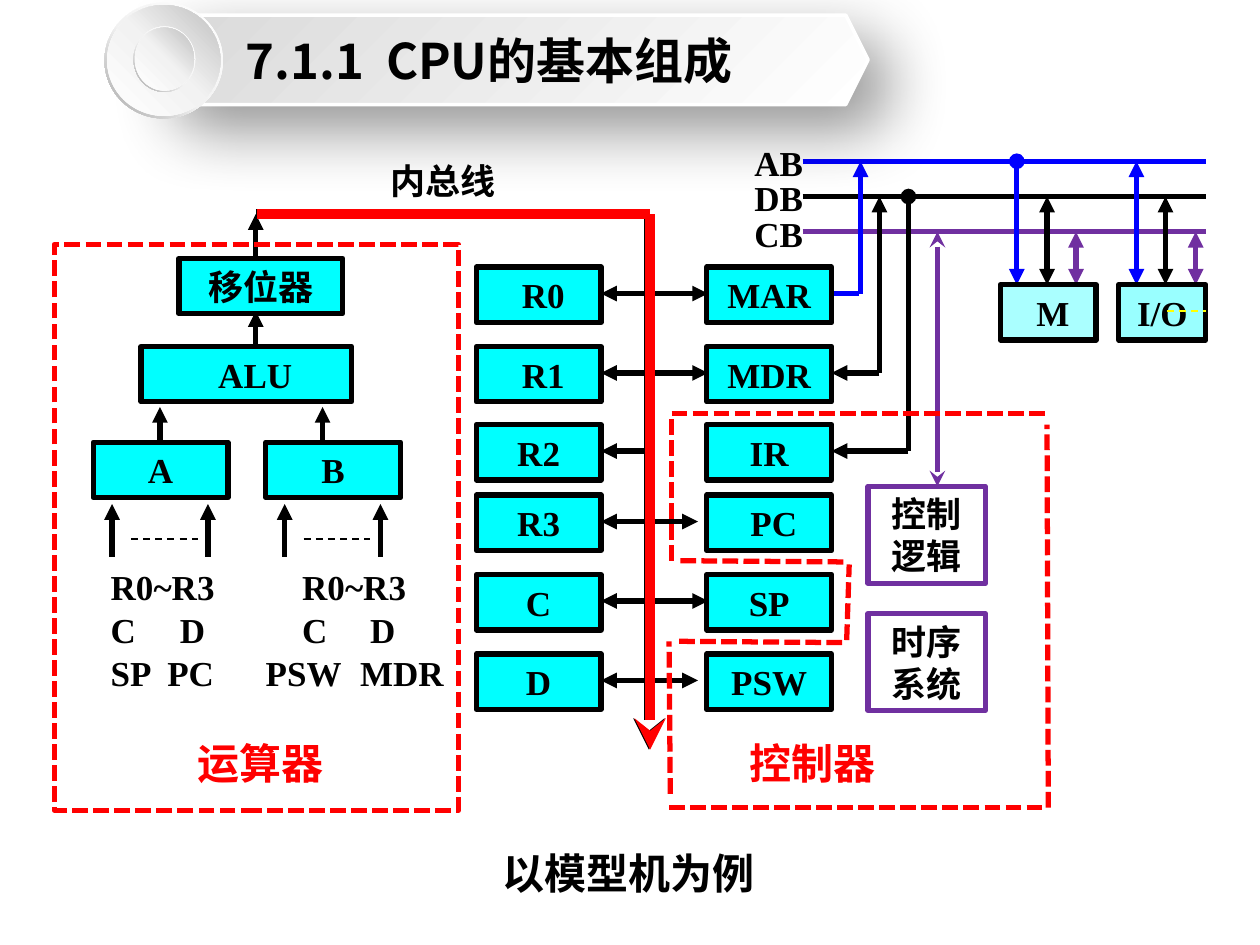
from lxml import etree
from pptx import Presentation
from pptx.dml.color import RGBColor
from pptx.enum.dml import MSO_LINE
from pptx.enum.shapes import MSO_CONNECTOR, MSO_SHAPE
from pptx.enum.text import MSO_ANCHOR, PP_ALIGN
from pptx.oxml.ns import qn
from pptx.util import Inches, Pt

RECT, HEXAGON = MSO_SHAPE.RECTANGLE, MSO_SHAPE.HEXAGON
DONUT, OVAL = MSO_SHAPE.DONUT, MSO_SHAPE.OVAL
DASH, SYS_DASH = MSO_LINE.DASH, MSO_LINE.SQUARE_DOT
CENTER, LEFT = PP_ALIGN.CENTER, PP_ALIGN.LEFT
SERIF, SANS = "Times New Roman", "Noto Sans CJK SC"
BLACK, WHITE, RED, BLUE, PURPLE = "000000", "FFFFFF", "FF0000", "0000FF", "7030A0"
CYAN, TRI = "00FFFF", "triangle"

# Content: register rows as top, left name, left nudge, right name, right nudge
BOX_H = 0.44
REG_W, REG_LEFT, REG_RIGHT = 0.99, 3.78, 5.61
ROWS = [(2.12, "R0", 0.07, "MAR", 0), (2.75, "R1", 0.07, "MDR", 0),
        (3.37, "R2", 0, "IR", 0), (3.93, "R3", 0, "PC", 0.07),
        (4.56, "C", 0, "SP", 0), (5.19, "D", 0, "PSW", 0)]
# Right end and head of the arrow in each register row
ROW_ENDS = [(5.62, TRI), (5.62, TRI), (5.16, None), (5.54, TRI), (5.62, TRI), (5.54, TRI)]

# Other boxes: text, left, top, width, height, fill, line, nudge
BOXES = [("A", 0.74, 3.51, 1.07, BOX_H, CYAN, BLACK, 0),
         ("B", 2.11, 3.51, 1.07, BOX_H, CYAN, BLACK, 0),
         ("移位器", 1.42, 2.05, 1.3, BOX_H, CYAN, BLACK, 0),
         ("ALU", 1.12, 2.75, 1.67, BOX_H, CYAN, BLACK, 0.14),
         ("M", 7.94, 2.26, 0.76, BOX_H, "AAFFFF", BLACK, 0.07),
         ("I/O", 8.88, 2.26, 0.69, BOX_H, "99FFFF", BLACK, 0),
         ("控制逻辑", 6.89, 3.86, 0.93, 0.77, None, PURPLE, 0),
         ("时序系统", 6.89, 4.87, 0.93, 0.77, None, PURPLE, 0)]

# Operand lists: cells of a line and the tab stops between them
OPERANDS = [(("R0~R3", "R0~R3"), (1.52,)),
            (("C", "D", "C", "D"), (0.55, 1.52, 2.06)),
            (("SP", "PC", "PSW", "MDR"), (0.45, 1.23, 1.98))]

# Labels: text, left, top, width, height, size, colour, font
LABELS = [("内总线", 2.72, 1.21, 1.6, 0.44, 20, BLACK, SERIF),
          ("运算器", 1.46, 5.8, 1.21, 0.5, 24, RED, SANS),
          ("控制器", 5.84, 5.8, 1.22, 0.5, 24, RED, SANS),
          ("以模型机为例", 3.88, 6.68, 2.22, 0.5, 24, BLACK, SERIF)]

# System buses: name, height on the slide, colour
BUSES = [("AB", 1.28, BLUE), ("DB", 1.56, BLACK), ("CB", 1.84, PURPLE)]
AB, DB, CB = (y for _, y, _ in BUSES)
DEVICE_TOP = 2.26

# Arrows upwards in the arithmetic unit: x, from y, to y
UP_ARROWS = [(1.27, 3.51, 3.23), (2.56, 3.51, 3.23), (2.03, 2.74, 2.47), (2.03, 2.05, 1.7)]
UP_ARROWS += [(x, 4.42, 4) for x in (0.89, 1.65, 2.26, 3.02)]

# Links to the buses: x1, y1, x2, y2, colour, head, tail
LINKS = [(8.07, AB, 8.07, DEVICE_TOP, BLUE, "oval", TRI),
         (9.02, AB, 9.02, DEVICE_TOP, BLUE, TRI, TRI),
         (8.31, DB, 8.31, DEVICE_TOP, BLACK, TRI, TRI),
         (9.25, DB, 9.25, DEVICE_TOP, BLACK, TRI, TRI),
         (8.54, CB, 8.54, DEVICE_TOP, PURPLE, TRI, TRI),
         (9.49, CB, 9.49, DEVICE_TOP, PURPLE, TRI, TRI),
         (6.6, 2.33, 6.82, 2.33, BLUE, None, None),
         (6.83, 2.33, 6.83, AB, BLUE, None, TRI),
         (6.98, 2.96, 6.6, 2.96, BLACK, None, TRI),
         (6.98, 2.96, 6.98, DB, BLACK, None, TRI),
         (7.21, DB, 7.21, 3.58, BLACK, "oval", None),
         (7.21, 3.58, 6.6, 3.58, BLACK, None, TRI),
         (7.44, CB, 7.44, 3.86, PURPLE, "stealth", "stealth")]

# Dashed border of the controller
CONTROLLER = [(5.33, 3.28, 8.32, 3.28), (5.31, 6.41, 8.31, 6.41), (8.32, 6.41, 8.31, 3.37),
              (5.33, 4.45, 5.33, 3.3), (5.4, 4.45, 6.71, 4.46), (6.72, 5.08, 6.74, 4.48),
              (5.39, 5.09, 6.7, 5.1), (5.32, 6.3, 5.31, 5.09)]

# Title badge: shape, left, top, width, height
BADGE = [(DONUT, 0.83, 0.02, 0.94, 0.92), (OVAL, 0.85, 0.04, 0.9, 0.88),
         (DONUT, 1.06, 0.21, 0.49, 0.52), (OVAL, 1.07, 0.22, 0.47, 0.5)]
BADGE_FILL = {DONUT: (((0, WHITE), (55, "F2F2F2"), (100, "A6A6A6")), 135),
              OVAL: (((0, WHITE), (51, "F2F2F2"), (100, "BFBFBF")), 315)}

prs = Presentation()
prs.slide_width, prs.slide_height = Inches(10), Inches(7.5)
s = prs.slides.add_slide(prs.slide_layouts[5])


def rgb(value):
    return RGBColor.from_string(value)


def sub(parent, tag, **attrs):
    return etree.SubElement(parent, qn(tag), {k: str(v) for k, v in attrs.items()})


def add_run(p, text, size=20, color=BLACK, font=SERIF):
    r = p.add_run()
    r.text = text
    r.font.size, r.font.bold, r.font.name = Pt(size), True, font
    r.font.color.rgb = rgb(color)
    sub(r.font._element, "a:ea", typeface=SANS)


def write(sp, text, nudge=0, wrap=True, **style):
    tf = sp.text_frame
    tf.word_wrap, tf.vertical_anchor = wrap, MSO_ANCHOR.MIDDLE
    tf.margin_left = Inches(0.1 + nudge)
    p = tf.paragraphs[0]
    p.alignment = CENTER
    add_run(p, text, **style)


def shape(kind, x, y, w, h, fill=None, line=None, width=3):
    sp = s.shapes.add_shape(kind, Inches(x), Inches(y), Inches(w), Inches(h))
    sp.shadow.inherit = False
    if fill:
        sp.fill.solid()
        sp.fill.fore_color.rgb = rgb(fill)
    else:
        sp.fill.background()
    if line:
        sp.line.color.rgb, sp.line.width = rgb(line), Pt(width)
    else:
        sp.line.fill.background()
    return sp


def textbox(x, y, w, h):
    return s.shapes.add_textbox(Inches(x), Inches(y), Inches(w), Inches(h))


def line(x1, y1, x2, y2, color=BLACK, head=None, tail=None, width=3, dash=None):
    c = s.shapes.add_connector(MSO_CONNECTOR.STRAIGHT, Inches(x1), Inches(y1), Inches(x2), Inches(y2))
    c.line.color.rgb, c.line.width = rgb(color), Pt(width)
    if dash:
        c.line.dash_style = dash
    ln = c.line._get_or_add_ln()
    for tag, mark in (("a:headEnd", head), ("a:tailEnd", tail)):
        if mark:
            sub(ln, tag, type=mark)
    sub(c._element.spPr, "a:effectLst")


def gradient(sp, stops, angle):
    sp.fill.gradient()
    grad = sp._element.spPr.find(qn("a:gradFill"))
    for child in list(grad):
        grad.remove(child)
    gs_list = sub(grad, "a:gsLst")
    for pos, color in stops:
        sub(sub(gs_list, "a:gs", pos=pos * 1000), "a:srgbClr", val=color)
    sub(grad, "a:lin", ang=angle * 60000, scaled=0)


def inner_bus(color, x):
    line(x, 1.7, x + 3.12, 1.7, color, width=6)
    line(x + 3.12, 1.7, x + 3.12, 5.95, color, tail="stealth", width=6)


# Arrows and operands of the arithmetic unit
for x, y1, y2 in UP_ARROWS:
    line(x, y1, x, y2, tail=TRI)
for x in (1.04, 2.41):
    line(x, 4.28, x + 0.53, 4.28, width=1, dash=DASH)
tf = textbox(0.78, 4.56, 2.92, 1.04).text_frame
tf.word_wrap = True
for i, (cells, stops) in enumerate(OPERANDS):
    p = tf.add_paragraph() if i else tf.paragraphs[0]
    p.alignment, p.line_spacing, p.space_before = LEFT, 0.6, Pt(10)
    tabs = sub(p._p.get_or_add_pPr(), "a:tabLst")
    for stop in stops:
        sub(tabs, "a:tab", pos=Inches(stop), algn="l")
    add_run(p, "\t".join(cells))

# Inner bus, register arrows, system buses and links
inner_bus(BLACK, 2.03)
for (top, *_), (end, head) in zip(ROWS, ROW_ENDS):
    line(end, top + 0.21, REG_LEFT + REG_W, top + 0.21, head=head, tail=TRI)
for name, y, color in BUSES:
    line(6.37, y, 9.57, y, color)
    write(textbox(5.76, y - 0.21, 0.84, BOX_H), name)
for link in LINKS:
    line(*link)

# Boxes and labels
for top, left_name, left_nudge, right_name, right_nudge in ROWS:
    BOXES += [(left_name, REG_LEFT, top, REG_W, BOX_H, CYAN, BLACK, left_nudge),
              (right_name, REG_RIGHT, top, REG_W, BOX_H, CYAN, BLACK, right_nudge)]
for text, x, y, w, h, fill, edge, nudge in BOXES:
    write(shape(RECT, x, y, w, h, fill, edge), text, nudge)
line(9.26, 2.47, 9.57, 2.47, "FFFF00", width=1, dash=DASH)
for text, x, y, w, h, size, color, font in LABELS:
    write(textbox(x, y, w, h), text, wrap=False, size=size, color=color, font=font)

# Red bus and dashed borders
inner_bus(RED, 2.04)
for edge in CONTROLLER:
    line(*edge, RED, dash=SYS_DASH)
shape(RECT, 0.43, 1.94, 3.21, 4.49, line=RED).line.dash_style = SYS_DASH

# Title banner with badge
banner = shape(HEXAGON, 1.15, 0.12, 5.74, 0.71, WHITE, WHITE, 2)
gradient(banner, ((0, WHITE), (100, "D9D9D9")), 225)
shadow = sub(banner._element.spPr.find(qn("a:effectLst")), "a:outerShdw", blurRad=Pt(38),
             dist=Pt(19), dir=45 * 60000, algn="tl", rotWithShape=0)
sub(sub(shadow, "a:srgbClr", val=BLACK), "a:alpha", val=42000)
for kind, *place in BADGE:
    sp = shape(kind, *place, WHITE)
    gradient(sp, *BADGE_FILL[kind])
    if kind == DONUT:
        sp.adjustments[0] = 0.05
title = s.shapes.title
title.left, title.top, title.width, title.height = map(Inches, (1.15, 0.12, 5.46, 0.71))
write(title, "7.1.1  CPU的基本组成", size=28, font=SANS)
s.shapes._spTree.append(title._element)

prs.save("out.pptx")
